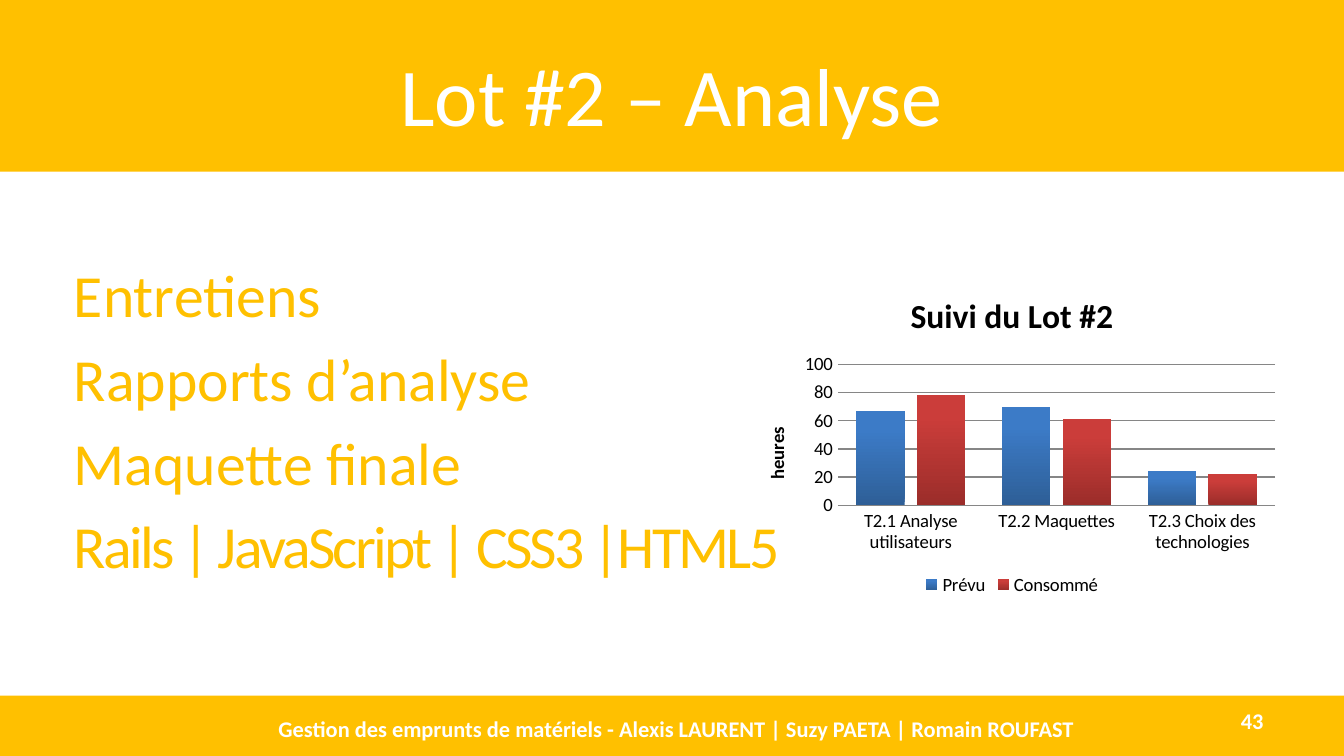
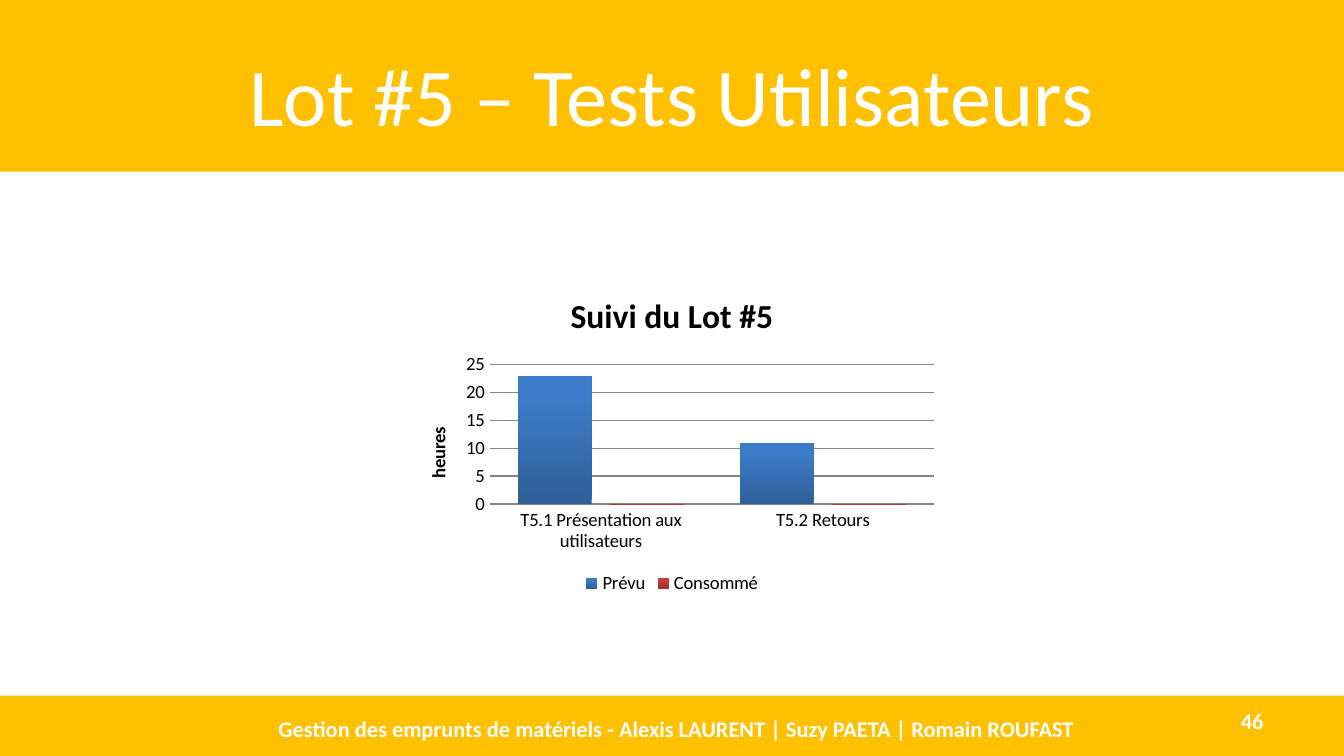
import pptx
import pptx.chart.data
import pptx.dml.color
import pptx.enum.chart
import pptx.enum.shapes
import pptx.enum.text
import pptx.oxml.ns
import pptx.util
from lxml import etree

RGB = pptx.dml.color.RGBColor
AMBER = RGB(0xFF, 0xC0, 0x00)
WHITE = RGB(0xFF, 0xFF, 0xFF)
BLACK = RGB(0x00, 0x00, 0x00)
GRID_GREY = RGB(0x86, 0x86, 0x86)
# Series gradients: bottom colour, top colour
BAR_GRADIENTS = [
    (RGB(0x2E, 0x5F, 0x97), RGB(0x3C, 0x7B, 0xC7)),
    (RGB(0x9B, 0x2D, 0x2A), RGB(0xCB, 0x3D, 0x3A)),
]
FONT = "Calibri"
ALIGN = pptx.enum.text.PP_ALIGN
MIDDLE = pptx.enum.text.MSO_ANCHOR.MIDDLE
FOOTER = "Gestion des emprunts de matériels - Alexis LAURENT | Suzy PAETA | Romain ROUFAST"

# Left, top, width, height in percent of the slide
BANDS = [(0, 92, 100, 8), (0, 0, 100, 22.7)]
TITLE_BOX = (5, 4.1, 90, 16.7)
NUMBER_BOX = (71.7, 92.7, 23.3, 5.3)
FOOTER_BOX = (16.1, 92.7, 68.5, 7.3)
LIST_BOX = (4.5, 33.25, 55.9, 49.1)

SLIDES = [
    dict(title="Lot #2 – Analyse", number="43", chart_title="Suivi du Lot #2",
         items=["Entretiens", "Rapports d’analyse", "Maquette finale",
                "Rails | JavaScript | CSS3 |HTML5"],
         chart_box=(54.9, 36.1, 40.8, 43.35), top_value=100, step=20,
         tasks=["T2.1 Analyse utilisateurs", "T2.2 Maquettes",
                "T2.3 Choix des technologies"],
         planned=[67, 70, 24], spent=[78, 61, 22]),
    dict(title="Lot #5 – Tests Utilisateurs", number="46", chart_title="Suivi du Lot #5",
         items=[],
         chart_box=(29.7, 36.1, 40.6, 43.2), top_value=25, step=5,
         tasks=["T5.1 Présentation aux utilisateurs", "T5.2 Retours"],
         planned=[23, 11], spent=[0, 0]),
]

prs = pptx.Presentation()
prs.slide_width = pptx.util.Inches(10)
prs.slide_height = prs.slide_width * 9 // 16


def share(left, top, width, height):
    """Turn percentages of the slide into lengths."""
    w, h = prs.slide_width, prs.slide_height
    return [int(pct * side / 100)
            for pct, side in zip((left, top, width, height), (w, h, w, h))]


def write(tf, *lines, size, color, bold=False, align=None, anchor=None):
    """Fill a text frame, one paragraph per line."""
    tf.word_wrap = True
    tf.auto_size = pptx.enum.text.MSO_AUTO_SIZE.NONE
    if anchor is not None:
        tf.vertical_anchor = anchor
    for i, line in enumerate(lines):
        p = tf.add_paragraph() if i else tf.paragraphs[0]
        p.alignment = align
        r = p.add_run()
        r.text = line
        r.font.name = FONT
        r.font.size = pptx.util.Pt(size)
        r.font.bold = bold
        r.font.color.rgb = color


for page in SLIDES:
    layout = prs.slide_layouts[1 if page["items"] else 5]
    s = prs.slides.add_slide(layout)

    # Bands lie behind the title
    for band in BANDS:
        sp = s.shapes.add_shape(pptx.enum.shapes.MSO_SHAPE.RECTANGLE, *share(*band))
        sp.shadow.inherit = False
        sp.fill.solid()
        sp.fill.fore_color.rgb = AMBER
        sp.line.fill.background()
        s.shapes._spTree.insert(2, sp._element)

    title = s.shapes.title
    title.left, title.top, title.width, title.height = share(*TITLE_BOX)
    write(title.text_frame, page["title"], size=44, color=WHITE,
          align=ALIGN.CENTER, anchor=MIDDLE)

    for box, text, align in [(NUMBER_BOX, page["number"], ALIGN.RIGHT),
                             (FOOTER_BOX, FOOTER, ALIGN.CENTER)]:
        sp = s.shapes.add_textbox(*share(*box))
        write(sp.text_frame, text, size=12, color=WHITE, bold=True,
              align=align, anchor=MIDDLE)

    if page["items"]:
        body = s.placeholders[1]
        body.left, body.top, body.width, body.height = share(*LIST_BOX)
        write(body.text_frame, *page["items"], size=32, color=AMBER)
        for p in body.text_frame.paragraphs:
            pPr = p._p.get_or_add_pPr()
            pPr.set("marL", "0")
            pPr.set("indent", "0")
            etree.SubElement(pPr, pptx.oxml.ns.qn("a:buNone"))
        # Tighten the long last line
        p.runs[0].font._element.set("spc", "-150")

    data = pptx.chart.data.CategoryChartData()
    data.categories = page["tasks"]
    data.add_series("Prévu", page["planned"])
    data.add_series("Consommé", page["spent"])
    chart = s.shapes.add_chart(
        pptx.enum.chart.XL_CHART_TYPE.COLUMN_CLUSTERED,
        *share(*page["chart_box"]), data).chart
    chart.font.name = FONT
    chart.font.size = pptx.util.Pt(10)
    chart.font.color.rgb = BLACK
    chart.has_title = True
    write(chart.chart_title.text_frame, page["chart_title"], size=18, color=BLACK, bold=True)
    chart.has_legend = True
    chart.legend.position = pptx.enum.chart.XL_LEGEND_POSITION.BOTTOM
    chart.legend.include_in_layout = False

    plot = chart.plots[0]
    plot.gap_width = 75
    plot.overlap = -25
    plot.vary_by_categories = False
    for series, colors in zip(plot.series, BAR_GRADIENTS):
        series.invert_if_negative = False
        fill = series.format.fill
        fill.gradient()
        fill.gradient_angle = 90
        for stop, color, position in zip(fill.gradient_stops, colors, (0, 0.8)):
            stop.color.rgb = color
            stop.position = position

    tasks, hours = chart.category_axis, chart.value_axis
    for axis in (tasks, hours):
        axis.major_tick_mark = axis.minor_tick_mark = pptx.enum.chart.XL_TICK_MARK.NONE
    tasks.format.line.color.rgb = GRID_GREY
    hours.format.line.fill.background()
    hours.has_major_gridlines = True
    hours.major_gridlines.format.line.color.rgb = GRID_GREY
    hours.minimum_scale = 0
    hours.maximum_scale = page["top_value"]
    hours.major_unit = page["step"]
    hours.has_title = True
    write(hours.axis_title.text_frame, "heures", size=10, color=BLACK, bold=True)

prs.save("out.pptx")
